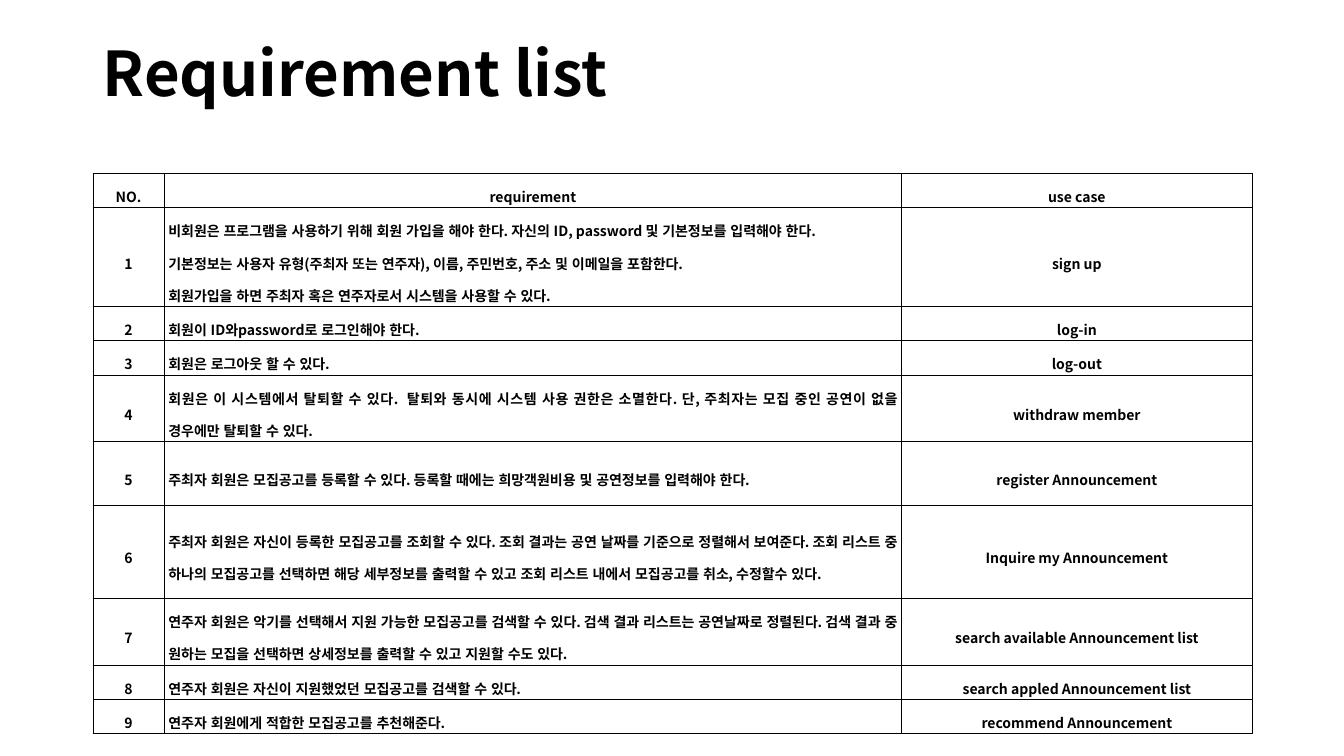
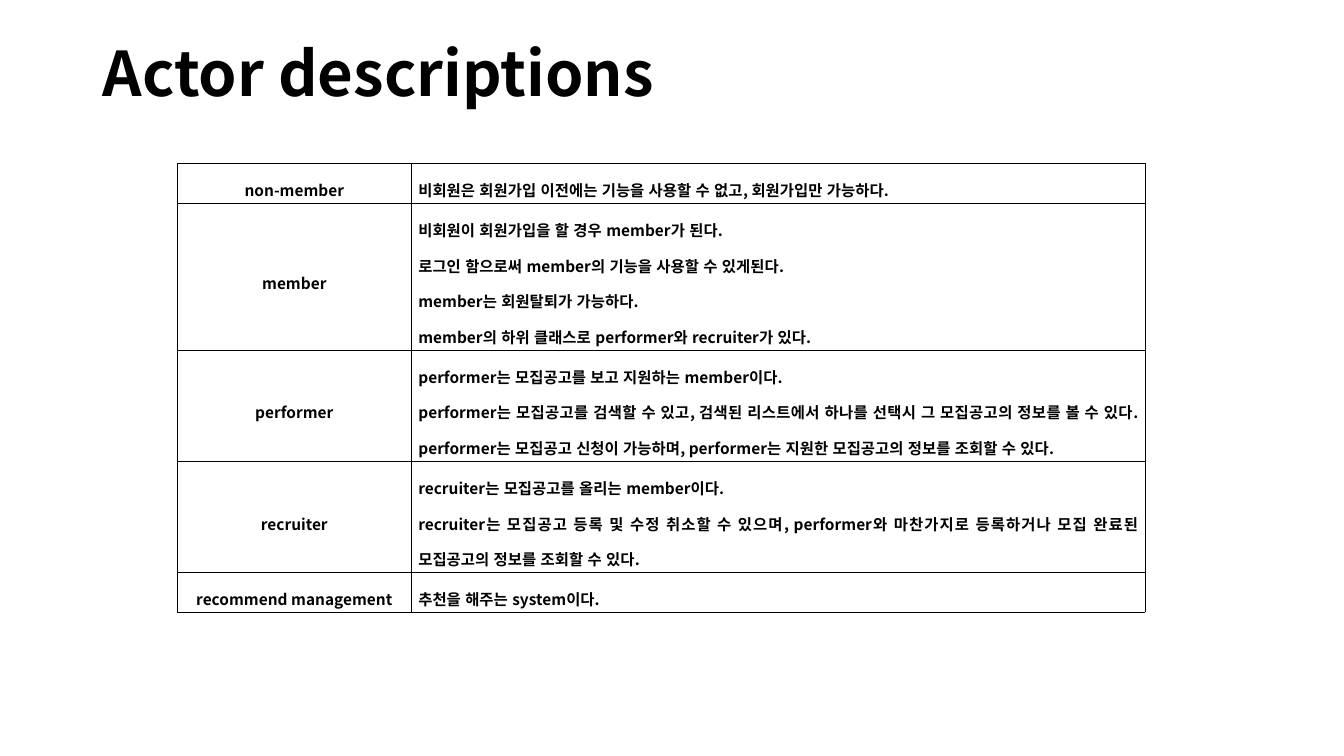
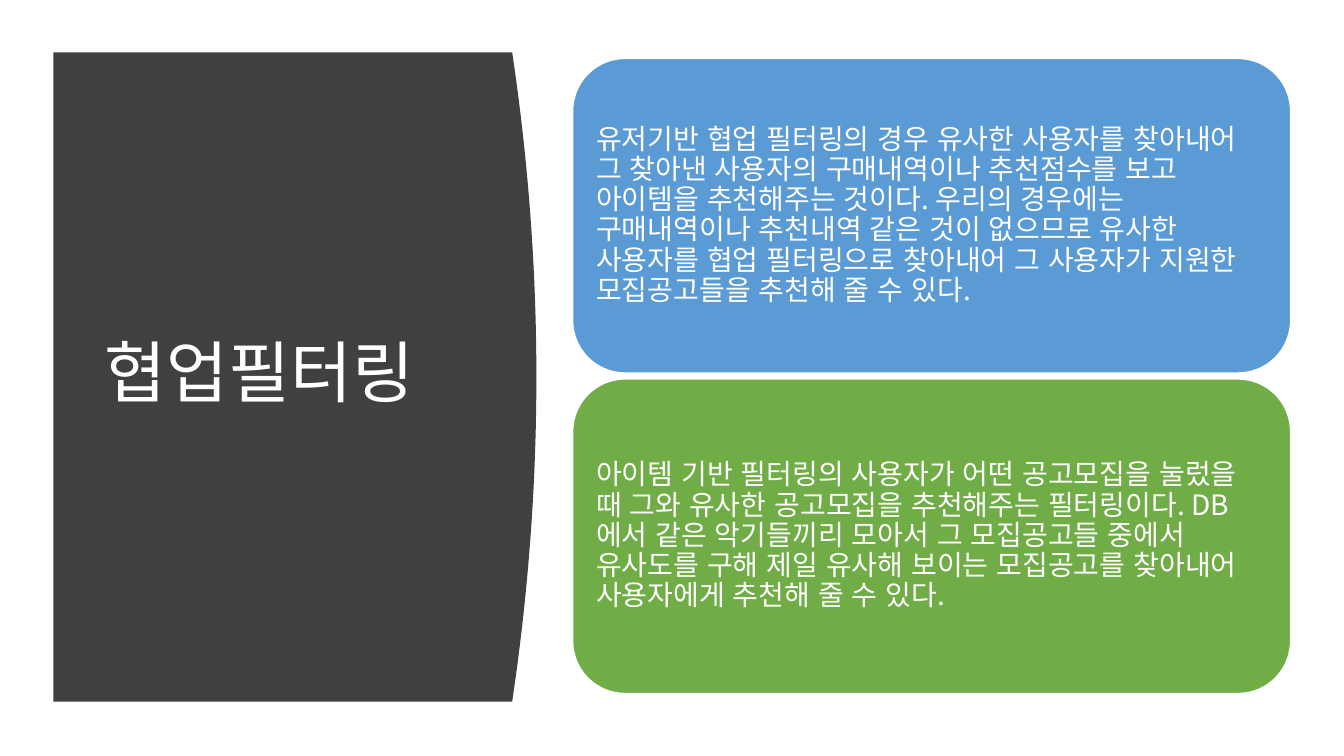
from copy import deepcopy

from lxml.etree import SubElement
from pptx import Presentation
from pptx.dml.color import RGBColor
from pptx.enum.lang import MSO_LANGUAGE_ID
from pptx.enum.shapes import MSO_SHAPE
from pptx.enum.text import MSO_ANCHOR, MSO_AUTO_SIZE, PP_ALIGN
from pptx.oxml import parse_xml
from pptx.oxml.ns import nsdecls, qn
from pptx.util import Inches, Pt

COLORS = {
    "black": "000000",
    "white": "FFFFFF",
    "panel": "404040",
    "blue": "5B9BD5",
    "green": "70AD47",
}
FONT = "Noto Sans CJK KR"

REQUIREMENTS = [
    (0.33, "NO.", "requirement", "use case"),
    (0.88, "1",
     "비회원은 프로그램을 사용하기 위해 회원 가입을 해야 한다. 자신의 ID, password 및 기본정보를 입력해야 한다.\n"
     "기본정보는 사용자 유형(주최자 또는 연주자), 이름, 주민번호, 주소 및 이메일을 포함한다.\n"
     "회원가입을 하면 주최자 혹은 연주자로서 시스템을 사용할 수 있다.",
     "sign up"),
    (0.33, "2", "회원이 ID와password로 로그인해야 한다.", "log-in"),
    (0.33, "3", "회원은 로그아웃 할 수 있다.", "log-out"),
    (0.58, "4",
     "회원은 이 시스템에서 탈퇴할 수 있다.  탈퇴와 동시에 시스템 사용 권한은 소멸한다. "
     "단, 주최자는 모집 중인 공연이 없을 경우에만 탈퇴할 수 있다.",
     "withdraw member"),
    (0.63, "5",
     "주최자 회원은 모집공고를 등록할 수 있다. 등록할 때에는 희망객원비용 및 공연정보를 입력해야 한다.",
     "register Announcement"),
    (0.93, "6",
     "주최자 회원은 자신이 등록한 모집공고를 조회할 수 있다. 조회 결과는 공연 날짜를 기준으로 정렬해서 보여준다. "
     "조회 리스트 중 하나의 모집공고를 선택하면 해당 세부정보를 출력할 수 있고 "
     "조회 리스트 내에서 모집공고를 취소, 수정할수 있다.",
     "Inquire my Announcement"),
    (0.63, "7",
     "연주자 회원은 악기를 선택해서 지원 가능한 모집공고를 검색할 수 있다. 검색 결과 리스트는 공연날짜로 정렬된다. "
     "검색 결과 중 원하는 모집을 선택하면 상세정보를 출력할 수 있고 지원할 수도 있다.",
     "search available Announcement list"),
    (0.33, "8", "연주자 회원은 자신이 지원했었던 모집공고를 검색할 수 있다.",
     "search appled Announcement list"),
    (0.28, "9", "연주자 회원에게 적합한 모집공고를 추천해준다.", "recommend Announcement"),
]

ACTORS = [
    (0.23, "non-member", "비회원은 회원가입 이전에는 기능을 사용할 수 없고, 회원가입만 가능하다."),
    (0.83, "member",
     "비회원이 회원가입을 할 경우 member가 된다.\n"
     "로그인 함으로써 member의 기능을 사용할 수 있게된다.\n"
     "member는 회원탈퇴가 가능하다.\n"
     "member의 하위 클래스로 performer와 recruiter가 있다."),
    (0.83, "performer",
     "performer는 모집공고를 보고 지원하는 member이다.\n"
     "performer는 모집공고를 검색할 수 있고, 검색된 리스트에서 하나를 선택시 그 모집공고의 정보를 볼 수 있다. "
     "performer는 모집공고 신청이 가능하며, performer는 지원한 모집공고의 정보를 조회할 수 있다."),
    (0.51, "recruiter",
     "recruiter는 모집공고를 올리는 member이다.\n"
     "recruiter는 모집공고 등록 및 수정 취소할 수 있으며, performer와 마찬가지로 등록하거나 "
     "모집 완료된 모집공고의 정보를 조회할 수 있다."),
    (0.17, "recommend management", "추천을 해주는 system이다."),
]

FILTERING = [
    ("blue",
     "유저기반 협업 필터링의 경우 유사한 사용자를 찾아내어 그 찾아낸 사용자의 구매내역이나 추천점수를 보고 "
     "아이템을 추천해주는 것이다. 우리의 경우에는 구매내역이나 추천내역 같은 것이 없으므로 유사한 사용자를 "
     "협업 필터링으로 찾아내어 그 사용자가 지원한 모집공고들을 추천해 줄 수 있다."),
    ("green",
     "아이템 기반 필터링의 사용자가 어떤 공고모집을 눌렀을 때 그와 유사한 공고모집을 추천해주는 필터링이다. "
     "DB에서 같은 악기들끼리 모아서 그 모집공고들 중에서 유사도를 구해 제일 유사해 보이는 모집공고를 "
     "찾아내어 사용자에게 추천해 줄 수 있다."),
]


def apply(target, values):
    for name, value in values.items():
        setattr(target, name, value)


def color(name):
    return RGBColor.from_string(COLORS[name])


class Deck:
    """Hold the shared style and the current slide, and draw each kind of element."""

    def __init__(self):
        self.presentation = Presentation()
        apply(self.presentation, {"slide_width": Inches(13.33), "slide_height": Inches(7.5)})
        self.slide = None

    def new_slide(self):
        self.slide = self.presentation.slides.add_slide(self.presentation.slide_layouts[5])

    def add_text(self, paragraph, text, size, color_name, bold=False, align=PP_ALIGN.LEFT, spacing=0.9):
        apply(paragraph, {"alignment": align, "line_spacing": spacing})
        run = paragraph.add_run()
        run.text = text
        apply(run.font, {"size": Pt(size), "bold": bold, "name": FONT,
                         "language_id": MSO_LANGUAGE_ID.KOREAN})
        run.font.color.rgb = color(color_name)
        properties = run.font._element
        east_asian = parse_xml(f'<a:ea {nsdecls("a")} typeface="{FONT}"/>')
        properties.find(qn("a:latin")).addnext(east_asian)
        return properties

    def title(self, text, box=(0.92, 0.4, 11.5, 1.45), size=44, color_name="black",
              bold=True, trailing_break=True):
        title = self.slide.shapes.title
        apply(title, dict(zip(("left", "top", "width", "height"), map(Inches, box))))
        apply(title.text_frame, {"word_wrap": True, "auto_size": MSO_AUTO_SIZE.NONE,
                                 "vertical_anchor": MSO_ANCHOR.MIDDLE})
        paragraph = title.text_frame.paragraphs[0]
        properties = self.add_text(paragraph, text, size, color_name, bold)
        if trailing_break:
            paragraph.add_line_break()
            paragraph._p.find(qn("a:br")).append(deepcopy(properties))
            end = SubElement(paragraph._p, qn("a:endParaRPr"), dict(properties.attrib))
            end.extend(deepcopy(list(properties)))
        title.element.getparent().append(title.element)

    def border(self, cell):
        properties = cell._tc.get_or_add_tcPr()
        for position, side in enumerate(("lnL", "lnR", "lnT", "lnB")):
            properties.insert(position, parse_xml(
                f'<a:{side} {nsdecls("a")} w="{Pt(0.28)}"><a:solidFill>'
                f'<a:srgbClr val="{COLORS["black"]}"/></a:solidFill></a:{side}>'))

    def table(self, left, top, widths, rows, size, margins, justified_column=1):
        heights = [row[0] for row in rows]
        frame = self.slide.shapes.add_table(
            len(rows), len(widths), Inches(left), Inches(top),
            Inches(sum(widths)), Inches(sum(heights)))
        table = frame.table
        apply(table, {"first_row": False, "horz_banding": False})
        for column, width in zip(table.columns, widths):
            column.width = Inches(width)
        horizontal, vertical = map(Inches, margins)
        cell_format = {"vertical_anchor": MSO_ANCHOR.MIDDLE,
                       "margin_left": horizontal, "margin_right": horizontal,
                       "margin_top": vertical, "margin_bottom": vertical}
        for row, (height, *texts) in zip(table.rows, rows):
            row.height = Inches(height)
            for index, (cell, text) in enumerate(zip(row.cells, texts)):
                apply(cell, cell_format)
                cell.fill.background()
                self.border(cell)
                justified = index == justified_column and text != "requirement"
                align = PP_ALIGN.JUSTIFY if justified else PP_ALIGN.CENTER
                for number, line in enumerate(text.split("\n")):
                    text_frame = cell.text_frame
                    paragraph = text_frame.add_paragraph() if number else text_frame.paragraphs[0]
                    self.add_text(paragraph, line, size, "black", True, align, 1.6)

    def curved_panel(self, left, top, right, bottom, bulge, steps=40):
        def edge(step):
            position = step / steps
            x = right + bulge * (1 - (2 * position - 1) ** 2)
            return Inches(x), Inches(top + (bottom - top) * position)

        builder = self.slide.shapes.build_freeform(Inches(left), Inches(top))
        points = [edge(step) for step in range(steps + 1)]
        builder.add_line_segments(points + [(Inches(left), Inches(bottom))], close=True)
        panel = builder.convert_to_shape()
        panel.shadow.inherit = False
        panel.fill.solid()
        panel.fill.fore_color.rgb = color("panel")
        panel.line.fill.background()

    def card(self, left, top, width, height, fill, text):
        card = self.slide.shapes.add_shape(
            MSO_SHAPE.ROUNDED_RECTANGLE, *map(Inches, (left, top, width, height)))
        card.shadow.inherit = False
        card.fill.solid()
        card.fill.fore_color.rgb = color(fill)
        card.line.color.rgb = color("white")
        card.line.width = Pt(1)
        inset = Inches(0.08)
        apply(card.text_frame, {"word_wrap": True, "vertical_anchor": MSO_ANCHOR.MIDDLE,
                                "margin_left": inset, "margin_right": inset,
                                "margin_top": inset, "margin_bottom": inset})
        self.add_text(card.text_frame.paragraphs[0], text, 20, "white")


def main():
    deck = Deck()

    deck.new_slide()
    deck.title("Requirement list")
    deck.table(0.92, 1.72, (0.71, 7.31, 3.48), REQUIREMENTS, 10, (0.04, 0.01))

    deck.new_slide()
    deck.title("Actor descriptions")
    deck.table(1.76, 1.62, (2.32, 7.28), ACTORS, 11, (0.07, 0.02))

    deck.new_slide()
    deck.curved_panel(0.53, 0.52, 5.08, 6.96, 0.24)
    deck.title("협업필터링", (0.94, 1.11, 3.74, 5.24), 48, "white", False, False)
    for index, (fill, text) in enumerate(FILTERING):
        deck.card(5.68, 0.58 + index * 3.18, 7.12, 3.12, fill, text)

    deck.presentation.save("out.pptx")


if __name__ == "__main__":
    main()
